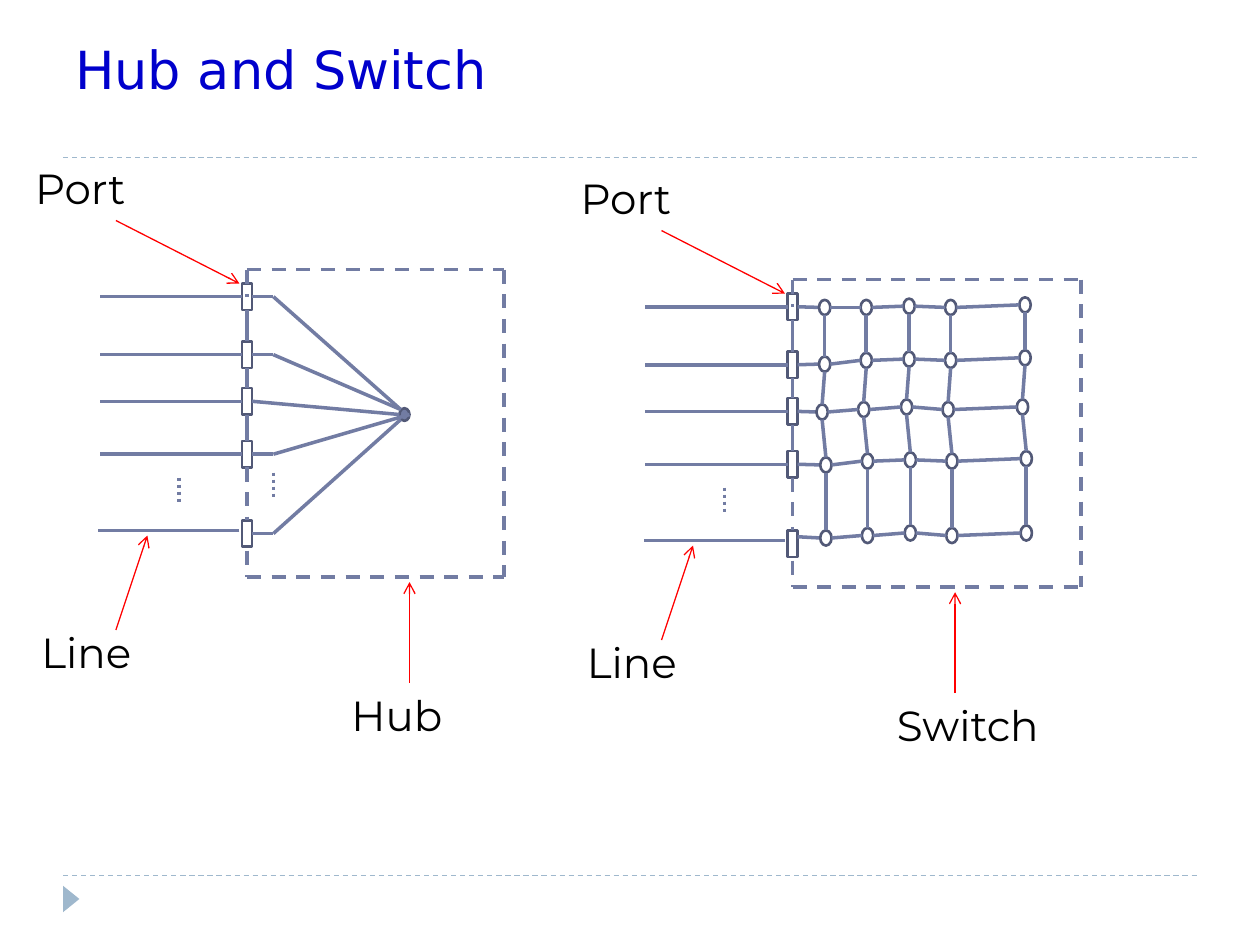
import pptx
import pptx.dml.color
import pptx.enum.dml
import pptx.enum.shapes
import pptx.enum.text
import pptx.oxml
import pptx.oxml.ns
import pptx.util

Inches = pptx.util.Inches
Kind = pptx.enum.shapes.MSO_SHAPE
Dash = pptx.enum.dml.MSO_LINE
Anchor = pptx.enum.text.MSO_ANCHOR
RGBColor = pptx.dml.color.RGBColor

BLUE = RGBColor(0x00, 0x00, 0xCC)
SKY = RGBColor(0x9F, 0xB8, 0xCD)
SLATE = RGBColor(0x72, 0x7C, 0xA3)
EDGE = RGBColor(0x52, 0x59, 0x77)
RED = RGBColor(0xFF, 0x00, 0x00)
BLACK = RGBColor(0x00, 0x00, 0x00)

TITLE = {"name": "DejaVu Sans", "size": pptx.util.Pt(30)}
LABEL = {"name": "Montserrat", "size": pptx.util.Pt(24)}
WIRE = {"width": pptx.util.Pt(2)}
DASHED = {**WIRE, "dash_style": Dash.DASH}
DOTTED = {**WIRE, "dash_style": Dash.ROUND_DOT}
RULE = {"width": pptx.util.Pt(0.75), "dash_style": Dash.DASH}
THIN = {"width": pptx.util.Pt(0.75)}

PORTS = (0.11, 0.57, 0.94, 1.36, 1.99)
PORT_W, PORT_H = 0.08, 0.21
NODE_W, NODE_H = 0.09, 0.12
COLS = (0.21, 0.54, 0.88, 1.21, 1.8)
SHIFTS = (0, 0, -0.02, 0.01, 0.01)
TOPS = (
    (0.16, 0.16, 0.15, 0.16, 0.14),
    (0.61, 0.58, 0.57, 0.58, 0.56),
    (0.99, 0.97, 0.95, 0.97, 0.95),
    (1.41, 1.38, 1.37, 1.38, 1.36),
    (1.99, 1.97, 1.95, 1.97, 1.95),
)


def apply(item, values):
    """Set each named format value on an item."""
    for name, value in values.items():
        setattr(item, name, value)


def draw_text(slide, box, text, font, color, anchor=Anchor.TOP):
    """Place one line of text in a box."""
    frame = slide.shapes.add_textbox(*map(Inches, box)).text_frame
    apply(frame, {"word_wrap": True, "vertical_anchor": anchor})
    run = frame.paragraphs[0].add_run()
    run.text = text
    apply(run.font, font)
    run.font.color.rgb = color


def draw_line(slide, start, end, look=WIRE, color=SLATE, arrow=False):
    """Draw a straight line between two points."""
    line = slide.shapes.add_connector(
        pptx.enum.shapes.MSO_CONNECTOR.STRAIGHT, *map(Inches, (*start, *end)))
    line.line.color.rgb = color
    apply(line.line, look)
    if arrow:
        tail = pptx.oxml.parse_xml(
            f'<a:tailEnd {pptx.oxml.ns.nsdecls("a")} type="arrow"/>')
        line.line._get_or_add_ln().append(tail)
    line._element.spPr.append(
        pptx.oxml.parse_xml(f'<a:effectLst {pptx.oxml.ns.nsdecls("a")}/>'))
    return line


def draw_shape(slide, kind, box, fill=None, edge=EDGE):
    """Draw a preset shape with an optional fill and edge."""
    shape = slide.shapes.add_shape(kind, *map(Inches, box))
    shape.shadow.inherit = False
    for part, color in ((shape.fill, fill), (shape.line.fill, edge)):
        if color is None:
            part.background()
        else:
            part.solid()
            part.fore_color.rgb = color
    if edge is not None:
        shape.line.width = pptx.util.Pt(1.5)
    return shape


def draw_frame(slide, box):
    """Draw the title, the two rules and the corner mark."""
    left, top, width, height = box
    draw_text(slide, (left, top + 0.17, width, 0.67), "Hub and Switch",
              TITLE, BLUE, Anchor.BOTTOM)
    for y in (top + 1.25, top + height):
        draw_line(slide, (left, y), (left + width, y), RULE, SKY)
    mark = (left - 0.04, top + height + 0.12, 0.21, 0.13)
    draw_shape(slide, Kind.ISOSCELES_TRIANGLE, mark, SKY, None).rotation = 90


def draw_case(slide, box, name):
    """Draw the dashed case with its ports, lines and labels."""
    left, top, width, height = box

    def at(x, y):
        """Shift a point to the corner of the case."""
        return left + x, top + y

    ports = [draw_shape(slide, Kind.RECTANGLE,
                        (*at(-PORT_W / 2, y), PORT_W, PORT_H)) for y in PORTS]
    for row in range(len(ports) - 1):
        look = DASHED if row == 3 else WIRE
        side = draw_line(slide, at(0, PORTS[row] + PORT_H),
                         at(0, PORTS[row + 1]), look)
        side.begin_connect(ports[row], 2)
        side.end_connect(ports[row + 1], 0)
        y = PORTS[row] + PORT_H / 2
        feed = draw_line(slide, at(-0.04, y), at(-1.17, y))
        feed.begin_connect(ports[row], 1)
    draw_line(slide, at(-0.06, 2.07), at(-1.18, 2.07))
    for start, end in (((0, 0), (width, 0)), ((0, 0), (0, 0.22)),
                       ((width, 0), (width, height)),
                       ((0, height), (width, height)),
                       ((0, height - 0.21), (0, height))):
        draw_line(slide, at(*start), at(*end), DASHED)
    draw_line(slide, at(-0.54, 1.65), at(-0.54, 1.86), DOTTED)
    for text, spot, start, end in (
            ("Line", (-1.73, 2.78), (-1.04, 2.86), (-0.79, 2.11)),
            ("Port", (-1.78, -0.9), (-1.04, -0.39), (-0.06, 0.11)),
            (name, (0.73, 3.28), (1.29, 3.28), (1.29, 2.48))):
        draw_line(slide, at(*start), at(*end), THIN, RED, True)
        draw_text(slide, (*at(*spot), 1.72, 0.5), text, LABEL, BLACK)
    return ports


def draw_hub(slide, box):
    """Draw a hub whose ports all meet at one node."""
    ports = draw_case(slide, box, "Hub")
    left, top = box[:2]
    draw_shape(slide, Kind.OVAL, (left + 1.21, top + 1.1, 0.08, 0.1), SLATE)
    ends = ((1.22, 1.11), (1.22, 1.11), (1.21, 1.15), (1.29, 1.15), (1.22, 1.19))
    for row, (port, (x, y)) in enumerate(zip(ports, ends)):
        level = top + PORTS[row] + PORT_H / 2
        bend, goal = (left + 0.21, level), (left + x, top + y)
        direct = row == 2
        stub = draw_line(slide, (left + 0.04, level), goal if direct else bend)
        stub.begin_connect(port, 3)
        if not direct:
            draw_line(slide, bend, goal)
    draw_line(slide, (left + 0.21, top + 1.61), (left + 0.21, top + 1.82), DOTTED)


def draw_switch(slide, box):
    """Draw a switch whose ports feed a mesh of nodes."""
    ports = draw_case(slide, box, "Switch")
    left, top = box[:2]
    mesh = [[(left + x + shift, top + y) for x, y in zip(COLS, tops)]
            for shift, tops in zip(SHIFTS, TOPS)]
    for row, nodes in enumerate(mesh):
        x, y = nodes[0]
        stub = draw_line(slide, (left + 0.04, top + 2.04), (x, y + NODE_H / 2))
        if row < 4:
            stub.begin_connect(ports[row], 3)
        for x, y in nodes:
            draw_shape(slide, Kind.OVAL, (x, y, NODE_W, NODE_H))
        for (x, y), (next_x, next_y) in zip(nodes, nodes[1:]):
            draw_line(slide, (x + NODE_W, y + NODE_H / 2),
                      (next_x, next_y + NODE_H / 2))
    for upper, lower in zip(mesh, mesh[1:]):
        for (x, y), (low_x, low_y) in zip(upper, lower):
            draw_line(slide, (low_x + NODE_W / 2, low_y),
                      (x + NODE_W / 2, y + NODE_H))


def main():
    """Build and save the slide."""
    deck = pptx.Presentation()
    apply(deck, {"slide_width": Inches(10), "slide_height": Inches(7.5)})
    slide = deck.slides.add_slide(deck.slide_layouts[6])
    draw_frame(slide, (0.5, 0, 9, 6.95))
    draw_hub(slide, (1.96, 2.14, 2.04, 2.44))
    draw_switch(slide, (6.29, 2.22, 2.29, 2.44))
    deck.save("out.pptx")


if __name__ == "__main__":
    main()
